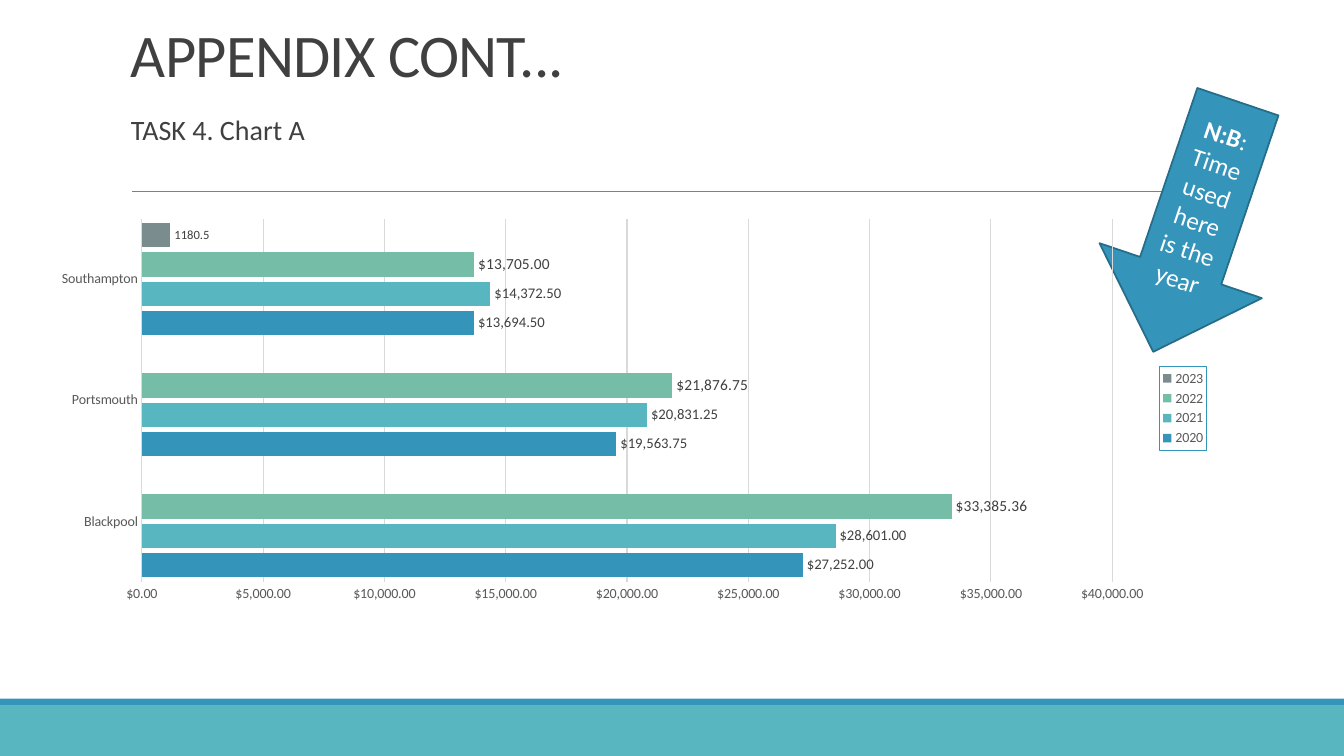
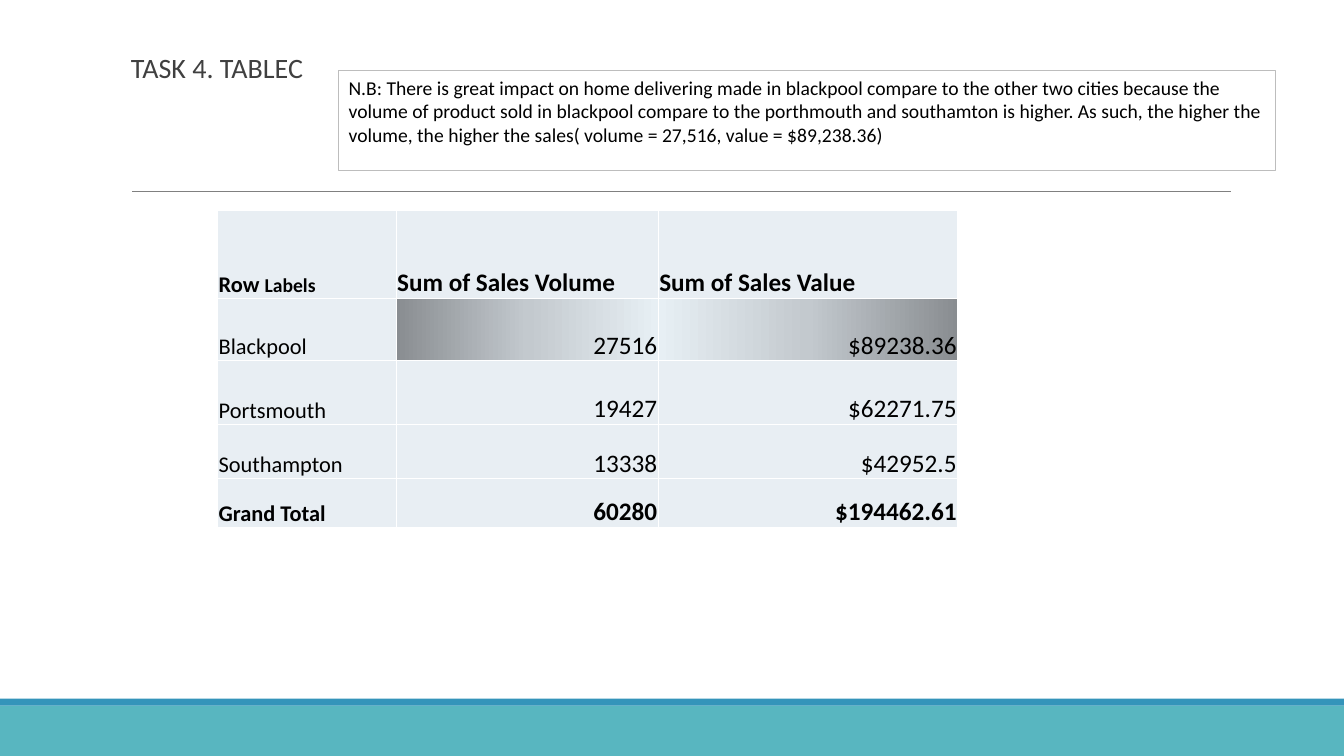
from copy import deepcopy

from lxml.etree import SubElement
from pptx import Presentation
from pptx.chart.data import CategoryChartData
from pptx.dml.color import RGBColor
from pptx.enum.chart import XL_CHART_TYPE, XL_LABEL_POSITION, XL_LEGEND_POSITION, XL_TICK_MARK
from pptx.enum.shapes import MSO_CONNECTOR, MSO_SHAPE
from pptx.enum.text import MSO_ANCHOR, PP_ALIGN
from pptx.oxml import parse_xml
from pptx.oxml.ns import nsdecls, qn
from pptx.util import Inches, Pt

BLUE = RGBColor(0x34, 0x94, 0xBA)
DARK_BLUE = RGBColor(0x26, 0x6D, 0x8A)
TEAL = RGBColor(0x58, 0xB6, 0xC0)
GREEN = RGBColor(0x75, 0xBD, 0xA7)
SLATE = RGBColor(0x7A, 0x8C, 0x8E)
INK = RGBColor(0x40, 0x40, 0x40)
AXIS_TEXT = RGBColor(0x59, 0x59, 0x59)
RULE = RGBColor(0x80, 0x80, 0x80)
NOTE_EDGE = RGBColor(0xBD, 0xBD, 0xBD)
GRID = RGBColor(0xD9, 0xD9, 0xD9)
CELL = RGBColor(0xE8, 0xEE, 0xF3)
BLACK = RGBColor(0, 0, 0)
WHITE = RGBColor(0xFF, 0xFF, 0xFF)
FADE = [(0, RGBColor(0x89, 0x8D, 0x91)), (0.5, RGBColor(0xC3, 0xC9, 0xCE)), (1, RGBColor(0xE7, 0xEF, 0xF4))]

FONT = "Calibri"
MONEY = '"$"#,##0.00'
LEFT = 9


def style_font(font, size, color, bold=None):
    font.name, font.size, font.bold = FONT, Pt(size), bold
    font.color.rgb = color


def write(tf, parts, color, align=PP_ALIGN.LEFT, anchor=MSO_ANCHOR.TOP, spacing=None):
    tf.word_wrap = True
    tf.vertical_anchor = anchor
    p = tf.paragraphs[0]
    p.alignment = align
    p.line_spacing = spacing
    p.text = parts[0][0]
    for text, size, bold in parts[1:]:
        p.add_run().text = text
    for r, (text, size, bold) in zip(p.runs, parts):
        style_font(r.font, size, color, bold)
    return p


def place(parent, tag, x, y, w, h, inner=False):
    old = parent.find(qn("c:layout"))
    if old is not None:
        parent.remove(old)
    target = '<c:layoutTarget val="inner"/>' if inner else ""
    sizes = "".join(f'<c:{k} val="{v}"/>' for k, v in zip("xywh", (x, y, w, h)))
    layout = parse_xml(
        f'<c:layout {nsdecls("c")}><c:manualLayout>{target}'
        f'<c:xMode val="edge"/><c:yMode val="edge"/>{sizes}</c:manualLayout></c:layout>'
    )
    if tag:
        parent.find(qn(tag)).addnext(layout)
    else:
        parent.insert(0, layout)


def box_style(fill, line=None):
    paint = f'<a:solidFill><a:srgbClr val="{fill}"/></a:solidFill>' if fill else "<a:noFill/>"
    edge = f'<a:ln w="9525"><a:solidFill><a:srgbClr val="{line}"/></a:solidFill></a:ln>' if line else ""
    return parse_xml(f'<c:spPr {nsdecls("c", "a")}>{paint}{edge}</c:spPr>')


class Deck:
    def __init__(self):
        self.prs = Presentation()
        self.prs.slide_width = Inches(13.33)
        self.prs.slide_height = Inches(7.5)
        self.s = None

    def x(self, cols):
        return round(self.prs.slide_width * cols / 100)

    def y(self, rows):
        return round(self.prs.slide_height * rows / 100)

    def box(self, x, y, w, h):
        return self.x(x), self.y(y), self.x(w), self.y(h)

    def new_slide(self):
        self.s = self.prs.slides.add_slide(self.prs.slide_layouts[6])
        self.shape(MSO_SHAPE.RECTANGLE, (0, 93.33, 100, 6.67), TEAL)
        self.shape(MSO_SHAPE.RECTANGLE, (0, 92.4, 100, 0.93), BLUE)
        self.rule(9.83, 91.6, 25.33)

    def shape(self, kind, area, fill, line=None, width=0.75):
        sp = self.s.shapes.add_shape(kind, *self.box(*area))
        sp.shadow.inherit = False
        sp.fill.solid()
        sp.fill.fore_color.rgb = fill
        if line is None:
            sp.line.fill.background()
        else:
            sp.line.color.rgb = line
            sp.line.width = Pt(width)
        return sp

    def rule(self, start, end, row):
        line = self.s.shapes.add_connector(
            MSO_CONNECTOR.STRAIGHT, self.x(start), self.y(row), self.x(end), self.y(row)
        )
        line.line.color.rgb = RULE
        line.line.width = Pt(0.5)
        SubElement(line._element.spPr, qn("a:effectLst"))

    def title(self, text):
        tf = self.s.shapes.add_textbox(*self.box(LEFT, 4, 82.5, 8.53)).text_frame
        p = write(tf, [(text, 43.2, None)], INK, anchor=MSO_ANCHOR.BOTTOM, spacing=0.85)
        p.runs[0].font._element.set("spc", "-50")

    def subtitle(self, text, row):
        tf = self.s.shapes.add_textbox(*self.box(LEFT, row, 15.38, 5.33)).text_frame
        tf.margin_right = 0
        write(tf, [(text, 20, None)], INK, spacing=0.9)

    def arrow(self, area, angle, parts):
        sp = self.shape(MSO_SHAPE.DOWN_ARROW, area, BLUE, DARK_BLUE, 1.25)
        sp.rotation = angle
        write(sp.text_frame, parts, WHITE, PP_ALIGN.CENTER, MSO_ANCHOR.MIDDLE)

    def note(self, area, text):
        sp = self.shape(MSO_SHAPE.RECTANGLE, area, WHITE, NOTE_EDGE)
        write(sp.text_frame, [(text, 14, None)], BLACK)

    def bar_chart(self, area, cats, series):
        data = CategoryChartData()
        data.categories = cats
        for name, values, color, size, fmt in series:
            data.add_series(name, values, fmt)
        chart = self.s.shapes.add_chart(XL_CHART_TYPE.BAR_CLUSTERED, *self.box(*area), data).chart
        style_font(chart.font, 10, BLACK)
        chart.has_title = False
        plot = chart.plots[0]
        plot.gap_width, plot.overlap, plot.vary_by_categories = 37, -20, False
        for ser, (name, values, color, size, fmt) in zip(plot.series, series):
            ser.format.fill.solid()
            ser.format.fill.fore_color.rgb = color
            labels = ser.data_labels
            labels.show_value = True
            labels.position = XL_LABEL_POSITION.OUTSIDE_END
            labels.number_format, labels.number_format_is_linked = fmt, False
            style_font(labels.font, size, INK)
        self.axes(chart)
        self.legend(chart)
        place(chart._chartSpace.chart.plotArea, None, 0.09, 0.02, 0.82, 0.91, True)
        return chart

    def axes(self, chart):
        cat, val = chart.category_axis, chart.value_axis
        for axis in (cat, val):
            axis.major_tick_mark = axis.minor_tick_mark = XL_TICK_MARK.NONE
            style_font(axis.tick_labels.font, 10, AXIS_TEXT)
        val.minimum_scale, val.maximum_scale, val.major_unit = 0, 40000, 5000
        val.tick_labels.number_format = MONEY
        val.tick_labels.number_format_is_linked = False
        val.format.line.fill.background()
        val.has_major_gridlines = True
        for line in (cat.format.line, val.major_gridlines.format.line):
            line.color.rgb = GRID
            line.width = Pt(0.75)

    def legend(self, chart):
        chart.has_legend = True
        legend = chart.legend
        legend.position = XL_LEGEND_POSITION.RIGHT
        legend.include_in_layout = False
        style_font(legend.font, 10, AXIS_TEXT)
        place(legend._element, "c:legendPos", 0.95, 0.39, 0.04, 0.21)
        legend._element.find(qn("c:overlay")).addnext(box_style(None, BLUE))

    def shade_label(self, ser, index, size, fill):
        label = ser.points[index].data_label
        style_font(label.font, size, INK)
        label.position = XL_LABEL_POSITION.OUTSIDE_END
        idx = ser._element.find(".//" + qn("c:dLbl")).find(qn("c:idx"))
        idx.addnext(box_style(fill))
        fmt = parse_xml(f'<c:numFmt {nsdecls("c")} sourceLinked="0"/>')
        fmt.set("formatCode", MONEY)
        idx.addnext(fmt)

    def table(self, area, widths, heights, rows):
        frame = self.s.shapes.add_table(len(rows), len(widths), *self.box(*area))
        tbl = frame.table
        tbl.first_row = tbl.horz_banding = False
        for col, w in zip(tbl.columns, widths):
            col.width = self.x(w)
        for row, h, texts in zip(tbl.rows, heights, rows):
            row.height = self.y(h)
            for cell, (parts, align) in zip(row.cells, texts):
                self.cell(cell, parts, align)
        return tbl

    def cell(self, cell, parts, align):
        cell.margin_left = cell.margin_right = cell.margin_top = Inches(0.01)
        cell.margin_bottom = 0
        write(cell.text_frame, parts, BLACK, align)
        cell.vertical_anchor = MSO_ANCHOR.BOTTOM
        cell.fill.solid()
        cell.fill.fore_color.rgb = CELL
        for i, side in enumerate("LRTB"):
            cell._tc.tcPr.insert(i, parse_xml(
                f'<a:ln{side} {nsdecls("a")} w="12700"><a:solidFill>'
                f'<a:srgbClr val="{WHITE}"/></a:solidFill></a:ln{side}>'
            ))

    def fade(self, cell, angle):
        cell.fill.gradient()
        cell.fill.gradient_angle = angle
        stops = cell._tc.tcPr.find(".//" + qn("a:gsLst"))
        stops.insert(1, deepcopy(stops[0]))
        for stop, (position, color) in zip(cell.fill.gradient_stops, FADE):
            stop.position = position
            stop.color.rgb = color


def chart_slide(deck):
    deck.new_slide()
    deck.title("APPENDIX CONT...")
    deck.subtitle("TASK 4. Chart A", 14.67)
    deck.arrow((82.58, 12.53, 12.75, 34.93), 18.7,
               [("N:B", 18, True), (": Time used here is the year", 18, False)])
    chart = deck.bar_chart(
        (2.63, 27.87, 88.05, 52.8),
        ["Blackpool", "Portsmouth", "Southampton"],
        [
            ("2020", (27252, 19563.75, 13694.5), BLUE, 10.5, MONEY),
            ("2021", (28601, 20831.25, 14372.5), TEAL, 10.5, MONEY),
            ("2022", (33385.36, 21876.75, 13705), GREEN, 11, MONEY),
            ("2023", (None, None, 1180.5), SLATE, 9, "General"),
        ],
    )
    deck.shade_label(chart.plots[0].series[2], 0, 11, "F2F2F2")


def table_slide(deck):
    deck.new_slide()
    header = [
        ([("Row ", 16, True), ("Labels", 14, True)], PP_ALIGN.LEFT),
        ([("Sum of Sales Volume", 18, True)], PP_ALIGN.LEFT),
        ([("Sum of Sales Value", 18, True)], PP_ALIGN.LEFT),
    ]
    sales = [
        ("Blackpool", "27516", "$89238.36"),
        ("Portsmouth", "19427", "$62271.75"),
        ("Southampton", "13338", "$42952.5"),
        ("Grand Total", "60280", "$194462.61"),
    ]
    rows = [header]
    for city, *figures in sales:
        bold = city == "Grand Total"
        rows.append([([(city, 16, bold)], PP_ALIGN.LEFT)]
                    + [([(figure, 18, bold)], PP_ALIGN.RIGHT) for figure in figures])
    tbl = deck.table((16.2, 27.87, 55.06, 41.87), (13.28, 19.5, 22.28), (11.6, 8.27, 8.4, 7.2, 6.4), rows)
    deck.fade(tbl.cell(1, 1), 0)
    deck.fade(tbl.cell(1, 2), 180)
    deck.subtitle("TASK 4. TABLEC", 6.53)
    deck.note(
        (25.2, 9.33, 69.68, 13.2),
        "N.B: There is great impact on home delivering made in blackpool compare to the other two cities "
        "because the volume of product sold in blackpool compare to the porthmouth and southamton is higher. "
        "As such, the higher the volume, the higher the sales( volume = 27,516, value = $89,238.36)",
    )


def main():
    deck = Deck()
    chart_slide(deck)
    table_slide(deck)
    deck.prs.save("out.pptx")


if __name__ == "__main__":
    main()
